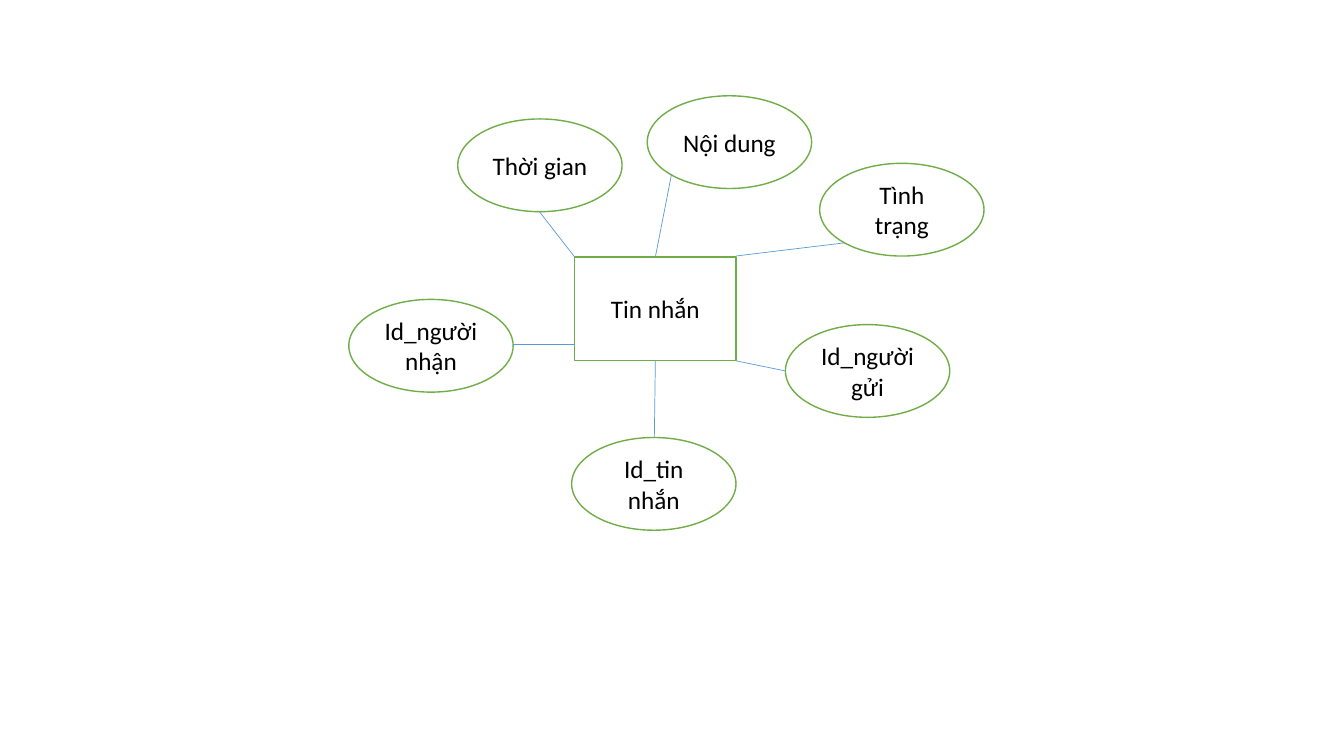
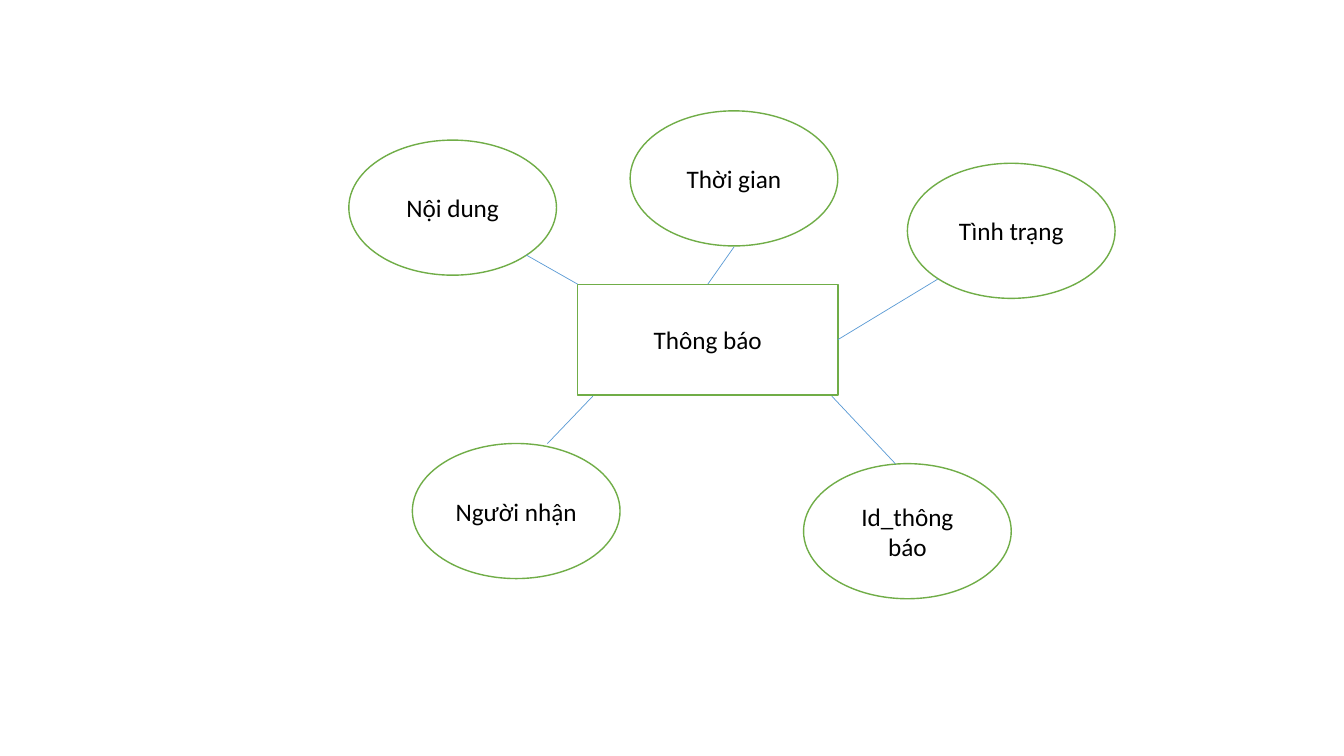
from dataclasses import dataclass

from lxml.etree import SubElement
from pptx import Presentation
from pptx.dml.color import RGBColor as RGB
from pptx.enum.shapes import MSO_CONNECTOR as Link, MSO_SHAPE as Form
from pptx.enum.text import MSO_ANCHOR as Anchor, PP_ALIGN as Align
from pptx.oxml.ns import qn
from pptx.util import Inches, Pt


@dataclass(frozen=True)
class Theme:
    paper: RGB = RGB(0xFF, 0xFF, 0xFF)
    ink: RGB = RGB(0, 0, 0)
    edge: RGB = RGB(0x70, 0xAD, 0x47)
    link: RGB = RGB(0x5B, 0x9B, 0xD5)
    face: str = "Calibri"
    size: int = 18
    border: float = 1
    thin: float = 0.5


THEME = Theme()
FONT = {"name": THEME.face, "size": Pt(THEME.size), "bold": False}
FRAME = {"word_wrap": True, "vertical_anchor": Anchor.MIDDLE}

CHARTS = [
    {
        "root": ("Tin nhắn", 5.7, 2.55, 1.6, 1.03),
        "size": (1.63, 0.92),
        "nodes": [
            ("Id_tin nhắn", 5.67, 4.34, (6.5, 3.58), (6.49, 4.34)),
            ("Id_người gửi", 7.79, 3.22, (7.3, 3.58), (7.79, 3.68)),
            ("Id_người nhận", 3.46, 2.97, (5.7, 3.42), (5.09, 3.42)),
            ("Thời gian", 4.54, 1.18, (5.7, 2.55), (5.35, 2.1)),
            ("Nội dung", 6.42, 0.95, (6.5, 2.55), (6.66, 1.73)),
            ("Tình trạng", 8.13, 1.62, (7.3, 2.54), (8.37, 2.41)),
        ],
    },
    {
        "root": ("Thông báo", 5.73, 2.82, 2.58, 1.1),
        "size": (2.06, 1.34),
        "nodes": [
            ("Id_thông báo", 7.97, 4.6, (8.25, 3.93), (8.88, 4.6)),
            ("Nội dung", 3.46, 1.39, (5.73, 2.82), (5.22, 2.53)),
            ("Người nhận", 4.09, 4.4, (5.88, 3.93), (5.43, 4.4)),
            ("Thời gian", 6.25, 1.1, (7.02, 2.82), (7.28, 2.45)),
            ("Tình trạng", 9, 1.62, (8.31, 3.37), (9.3, 2.77)),
        ],
    },
]


def style(item, values):
    for key, value in values.items():
        setattr(item, key, value)


def stroke(line, color, width):
    line.color.rgb = color
    line.width = Pt(width)


def add_node(slide, form, label, *box):
    node = slide.shapes.add_shape(form, *map(Inches, box))
    node.shadow.inherit = False
    node.fill.solid()
    node.fill.fore_color.rgb = THEME.paper
    stroke(node.line, THEME.edge, THEME.border)
    frame = node.text_frame
    style(frame, FRAME)
    frame.text = label
    para = frame.paragraphs[0]
    para.alignment = Align.CENTER
    font = para.runs[0].font
    style(font, FONT)
    font.color.rgb = THEME.ink


def add_link(slide, start, end):
    link = slide.shapes.add_connector(Link.STRAIGHT, *map(Inches, start + end))
    stroke(link.line, THEME.link, THEME.thin)
    SubElement(link._element.spPr, qn("a:effectLst"))


def add_chart(deck, chart):
    slide = deck.slides.add_slide(deck.slide_layouts[6])
    add_node(slide, Form.RECTANGLE, *chart["root"])
    for label, left, top, start, end in chart["nodes"]:
        add_node(slide, Form.OVAL, label, left, top, *chart["size"])
        add_link(slide, start, end)


def main():
    deck = Presentation()
    style(deck, {"slide_width": Inches(13.33), "slide_height": Inches(7.5)})
    for chart in CHARTS:
        add_chart(deck, chart)
    deck.save("out.pptx")


if __name__ == "__main__":
    main()
